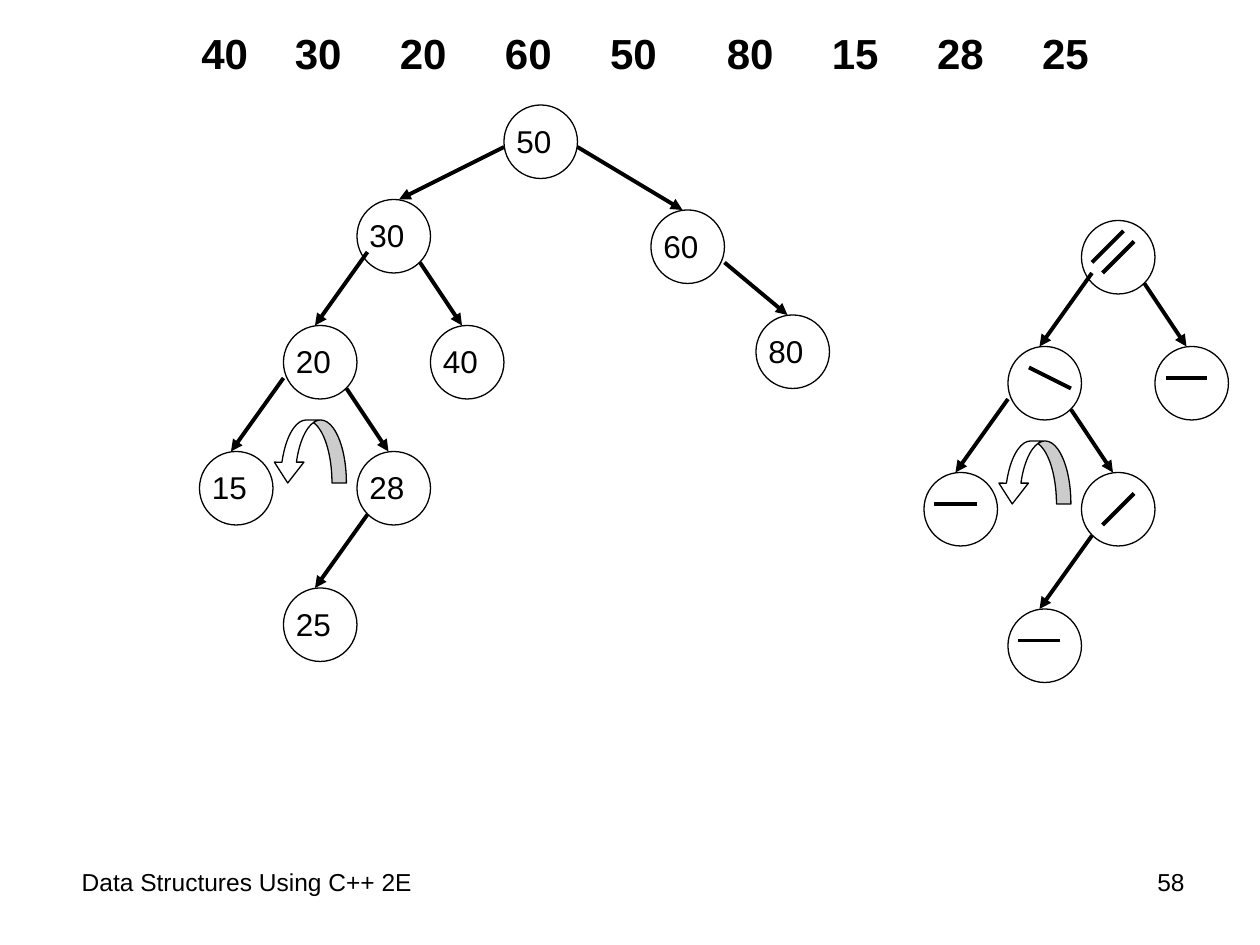
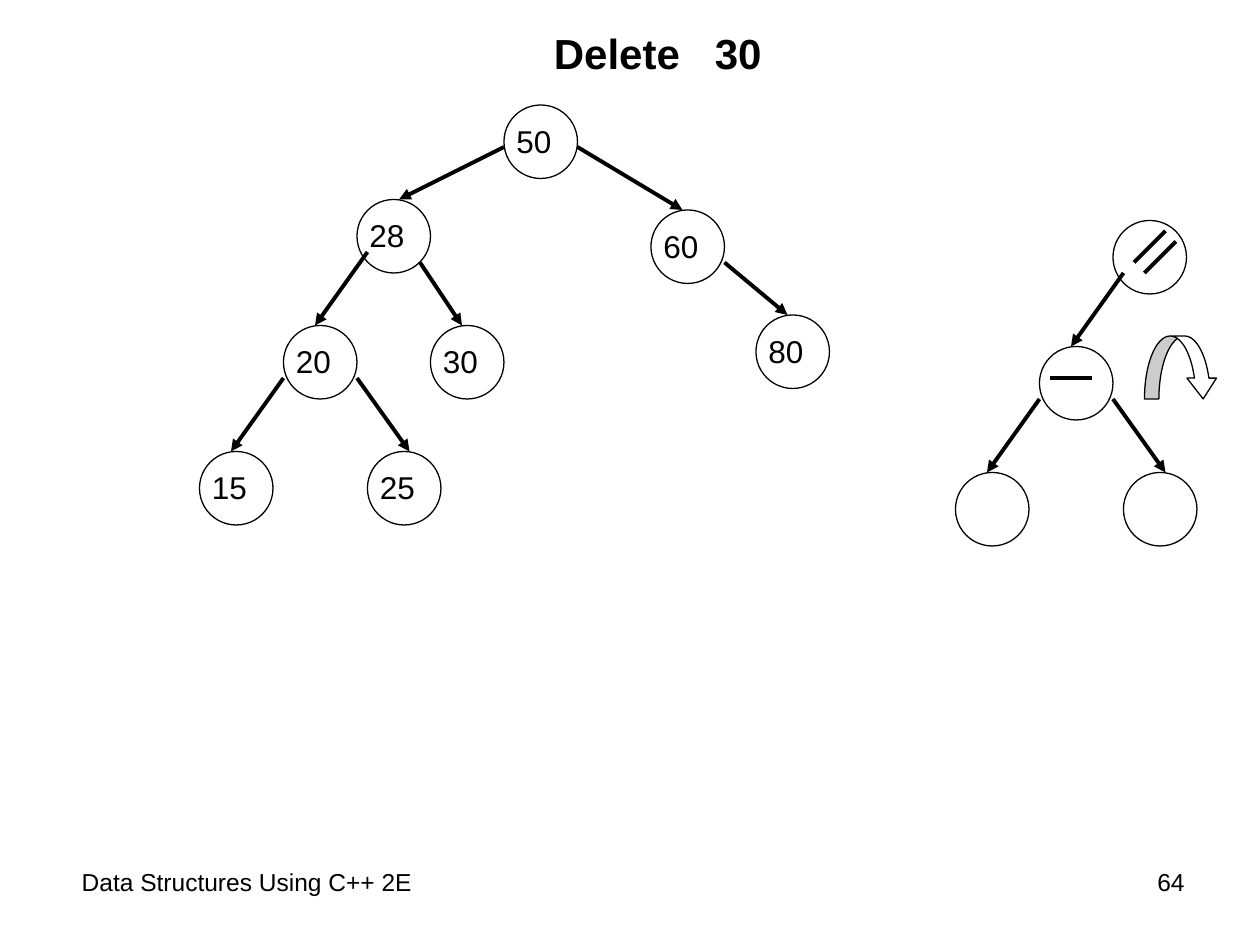
from dataclasses import dataclass, replace
from itertools import zip_longest

from lxml import etree
from pptx import Presentation
from pptx.dml.color import RGBColor
from pptx.enum.shapes import MSO_CONNECTOR, MSO_SHAPE
from pptx.enum.text import MSO_AUTO_SIZE, PP_ALIGN
from pptx.oxml.ns import qn
from pptx.util import Inches, Pt


@dataclass(frozen=True)
class Theme:
    font: str = "Arial"
    ink: RGBColor = RGBColor(0, 0, 0)
    paper: RGBColor = RGBColor(255, 255, 255)
    title_size: int = 24
    label_size: int = 18
    footer_size: int = 14
    outline: float = 0.75
    stroke: float = 2.25


@dataclass(frozen=True)
class Node:
    """A tree node in grid units, with the arrow (x1, y1, x2, y2) that leads to it."""
    value: str
    x: int
    y: int
    arrow: tuple = ()


THEME = Theme()
UNIT = Inches(1) // 12
NODE_SIZE = 7

ROOT = Node("50", 48, 10)
RIGHT_SUBTREE = [
    Node("60", 62, 20, (55, 14, 65, 20)),
    Node("80", 72, 30, (69, 25, 75, 30)),
]
LEFT_CHILD = Node("30", 34, 19, (48, 14, 38, 19))
LEFT_SUBTREE = [
    Node("20", 27, 31, (35, 24, 30, 31)),
    Node("15", 19, 43, (27, 36, 22, 43)),
]
LEFT_LEAF = Node("40", 41, 31, (40, 25, 44, 31))

# "balanced" is the part of the tree repeated at the right, moved by "shift".
# "rotations" are (x, y, mirrored); "marks" are balance signs (x1, y1, x2, y2).
SLIDES = [
    dict(
        number="58", title="40 30 20 60 50 80 15 28 25", title_left=1.5,
        title_align=PP_ALIGN.LEFT,
        title_gaps=(20, 26.7, 26.7, 26.7, 33.3, 26.7, 26.7, 26.7),
        balanced=[LEFT_CHILD, *LEFT_SUBTREE, LEFT_LEAF,
                  Node("28", 34, 43, (33, 37, 37, 43)),
                  Node("25", 27, 56, (35, 49, 30, 56))],
        others=[],
        shift=(69, 2),
        rotations=[(26, 40, True), (95, 42, True)],
        marks=[(107, 22, 104, 25), (108, 23, 105, 26), (102, 37, 98, 35),
               (115, 36, 111, 36), (93, 48, 89, 48), (108, 47, 105, 50),
               (101, 61, 97, 61)],
    ),
    dict(
        number="64", title="Delete 30", title_left=1.47,
        title_align=PP_ALIGN.CENTER, title_gaps=(13.3,),
        balanced=[replace(LEFT_CHILD, value="28"), *LEFT_SUBTREE,
                  Node("25", 35, 43, (34, 36, 39, 43))],
        others=[replace(LEFT_LEAF, value="30")],
        shift=(72, 2),
        rotations=[(109, 32, False)],
        marks=[(111, 22, 108, 25), (112, 23, 109, 26), (104, 36, 100, 36)],
    ),
]


def add_text(slide, text, left, top, width, height, *, size, bold=False,
             align=PP_ALIGN.LEFT, gaps=(), grow=True):
    """Add a text box; gaps widen the spaces between words, in points."""
    box = slide.shapes.add_textbox(left, top, width, height)
    frame = box.text_frame
    frame.word_wrap = True
    frame.auto_size = MSO_AUTO_SIZE.SHAPE_TO_FIT_TEXT if grow else MSO_AUTO_SIZE.NONE
    paragraph = frame.paragraphs[0]
    paragraph.alignment = align
    words = text.split(" ") if gaps else [text]
    for word, gap in zip_longest(words, gaps):
        for part, spacing in ((word, None), (" ", gap)):
            if part == " " and gap is None:
                continue
            run = paragraph.add_run()
            run.text = part
            run.font.name = THEME.font
            run.font.size = Pt(size)
            run.font.bold = bold
            run.font.color.rgb = THEME.ink
            if spacing is not None:
                run.font._element.set("spc", str(round(spacing * 100)))


def add_line(slide, ends, arrowhead=False):
    line = slide.shapes.add_connector(
        MSO_CONNECTOR.STRAIGHT, *(UNIT * value for value in ends))
    line.line.color.rgb = THEME.ink
    line.line.width = Pt(THEME.stroke)
    if arrowhead:
        etree.SubElement(line.line._get_or_add_ln(), qn("a:tailEnd"), type="triangle")
    etree.SubElement(line._element.spPr, qn("a:effectLst"))


presentation = Presentation()
presentation.slide_width = Inches(10)
presentation.slide_height = Inches(7.5)

for content in SLIDES:
    slide = presentation.slides.add_slide(presentation.slide_layouts[6])

    add_text(slide, "Data Structures Using C++ 2E", Inches(0.55), Inches(6.83),
             Inches(7.53), Inches(0.52), size=THEME.footer_size, grow=False)
    add_text(slide, content["number"], Inches(8.58), Inches(6.83), Inches(0.92),
             Inches(0.52), size=THEME.footer_size, align=PP_ALIGN.RIGHT, grow=False)
    add_text(slide, content["title"], Inches(content["title_left"]), Inches(0.17),
             Inches(7.5), Inches(0.5), size=THEME.title_size, bold=True,
             align=content["title_align"], gaps=content["title_gaps"])

    shift_x, shift_y = content["shift"]
    balance_tree = [
        Node("", node.x + shift_x, node.y + shift_y,
             tuple(value + shift for value, shift in zip(node.arrow, content["shift"] * 2)))
        for node in content["balanced"]
    ]
    balance_tree[0] = replace(balance_tree[0], arrow=())

    value_tree = [ROOT, *content["balanced"], *content["others"], *RIGHT_SUBTREE]
    for node in value_tree + balance_tree:
        if node.arrow:
            add_line(slide, node.arrow, arrowhead=True)
        left, top = UNIT * node.x, UNIT * node.y
        circle = slide.shapes.add_shape(
            MSO_SHAPE.OVAL, left, top, UNIT * NODE_SIZE, UNIT * NODE_SIZE)
        circle.shadow.inherit = False
        circle.fill.solid()
        circle.fill.fore_color.rgb = THEME.paper
        circle.line.color.rgb = THEME.ink
        circle.line.width = Pt(THEME.outline)
        if node.value:
            add_text(slide, node.value, left, top + UNIT, Inches(0.5), Inches(0.4),
                     size=THEME.label_size)

    for x, y, mirrored in content["rotations"]:
        rotation = slide.shapes.add_shape(
            MSO_SHAPE.CURVED_DOWN_ARROW, UNIT * x, UNIT * y, UNIT * 7, UNIT * 6)
        rotation.shadow.inherit = False
        for index, adjustment in enumerate((0.23, 0.47, 0.33)):
            rotation.adjustments[index] = adjustment
        rotation.fill.solid()
        rotation.fill.fore_color.rgb = THEME.paper
        rotation.line.color.rgb = THEME.ink
        rotation.line.width = Pt(THEME.outline)
        if mirrored:
            rotation._element.spPr.xfrm.set("flipH", "1")

    for mark in content["marks"]:
        add_line(slide, mark)

presentation.save("out.pptx")
